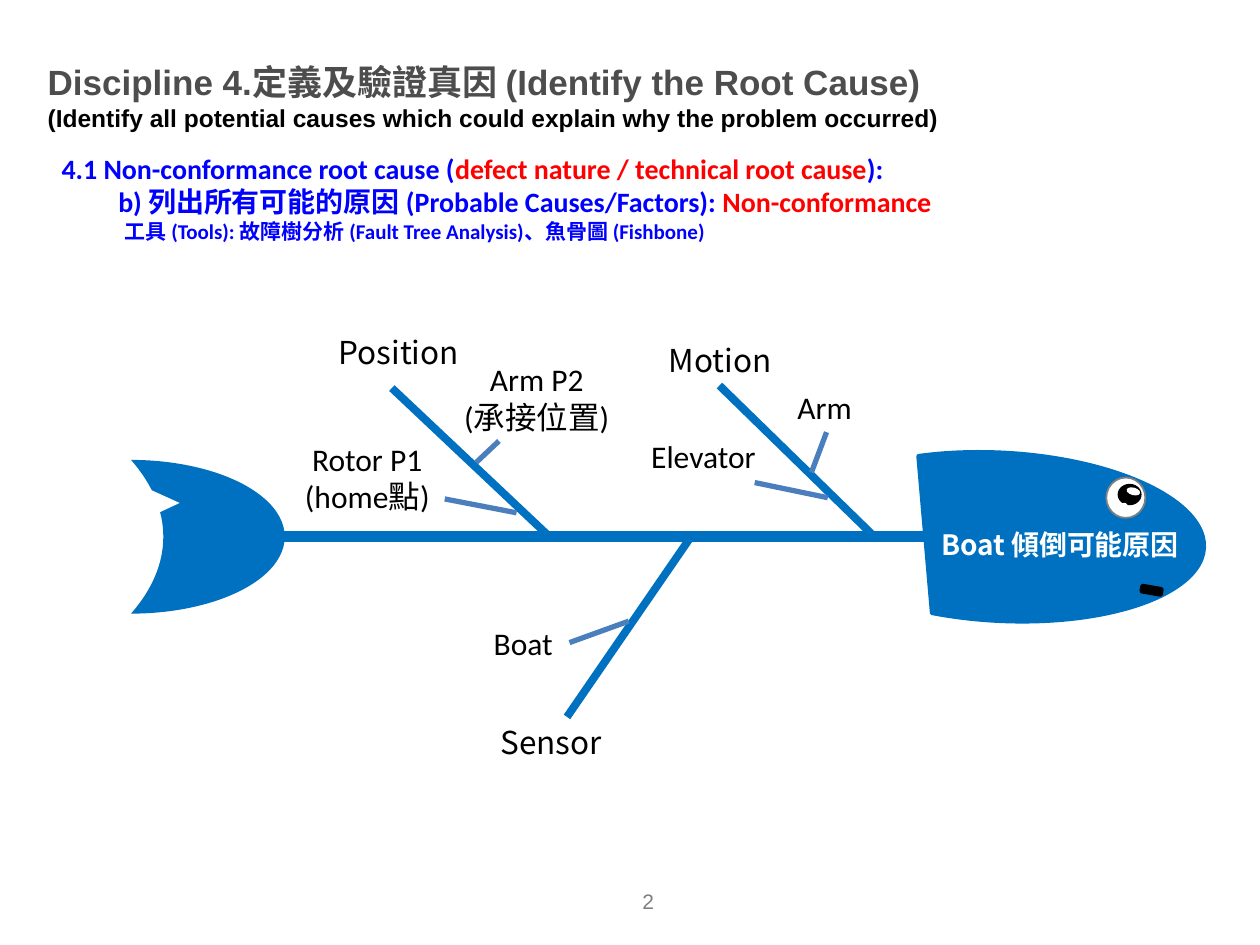
import pptx
import pptx.dml.color
import pptx.enum.shapes
import pptx.enum.text
import pptx.oxml.ns
import pptx.util
import lxml.etree

Inches = pptx.util.Inches
RGBColor = pptx.dml.color.RGBColor
Shape = pptx.enum.shapes.MSO_SHAPE
Align = pptx.enum.text.PP_ALIGN
Anchor = pptx.enum.text.MSO_ANCHOR

BLACK = RGBColor(0x00, 0x00, 0x00)
WHITE = RGBColor(0xFF, 0xFF, 0xFF)
TITLE_GRAY = RGBColor(0x4D, 0x4D, 0x4D)
PAGE_GRAY = RGBColor(0x7F, 0x7F, 0x7F)
EYE_GRAY = RGBColor(0x80, 0x80, 0x80)
BLUE = RGBColor(0x00, 0x00, 0xFF)
RED = RGBColor(0xFF, 0x00, 0x00)
FISH_BLUE = RGBColor(0x00, 0x70, 0xC0)
TWIG_BLUE = RGBColor(0x4B, 0x7E, 0xBC)
CJK_FONT = "Noto Sans CJK SC"


def write_paragraph(paragraph, runs, size=18, font="Calibri", bold=False,
                    align=Align.LEFT, indent=0):
    paragraph.alignment = align
    if indent:
        properties = paragraph._p.get_or_add_pPr()
        properties.set("marL", str(Inches(indent)))
        properties.set("indent", "0")
    for text, color in runs:
        run = paragraph.add_run()
        run.text = text
        run.font.size = pptx.util.Pt(size)
        run.font.name = font
        run.font.bold = bold
        run.font.color.rgb = color


def add_text_box(slide, box, anchor=Anchor.TOP, grow=True):
    frame = slide.shapes.add_textbox(*map(Inches, box)).text_frame
    frame.word_wrap = True
    frame.vertical_anchor = anchor
    if grow:
        frame.auto_size = pptx.enum.text.MSO_AUTO_SIZE.SHAPE_TO_FIT_TEXT
    return frame


def add_label(slide, box, lines, color=BLACK, **text_format):
    frame = add_text_box(slide, box)
    for index, line in enumerate(lines):
        paragraph = frame.add_paragraph() if index else frame.paragraphs[0]
        write_paragraph(paragraph, [(line, color)], **text_format)


def add_bone(slide, start, end, color, width):
    bone = slide.shapes.add_connector(
        pptx.enum.shapes.MSO_CONNECTOR.STRAIGHT,
        *map(Inches, start + end))
    bone.line.color.rgb = color
    bone.line.width = pptx.util.Pt(width)
    lxml.etree.SubElement(bone._element.spPr, pptx.oxml.ns.qn("a:effectLst"))


def add_part(slide, kind, box, fill, line=None, width=1, rotation=0,
             adjustments=(), flip=None):
    part = slide.shapes.add_shape(kind, *map(Inches, box))
    part.shadow.inherit = False
    part.rotation = rotation
    part.fill.solid()
    part.fill.fore_color.rgb = fill
    if line is None:
        part.line.fill.background()
    else:
        part.line.color.rgb = line
        part.line.width = pptx.util.Pt(width)
    for index, value in enumerate(adjustments):
        part.adjustments[index] = value
    if flip:
        part._element.spPr.xfrm.set(flip, "1")


def add_headings(slide):
    title = add_text_box(slide, (0.28, 0.43, 9.13, 0.67), Anchor.MIDDLE)
    write_paragraph(
        title.paragraphs[0],
        [("Discipline 4.定義及驗證真因 (Identify the Root Cause)", TITLE_GRAY)],
        size=20, font="Arial", bold=True)
    write_paragraph(
        title.add_paragraph(),
        [("(Identify all potential causes which could explain why the problem occurred)",
          BLACK)],
        size=14, font="Arial", bold=True)

    section = add_text_box(slide, (0.39, 1.15, 9.01, 0.84))
    write_paragraph(
        section.paragraphs[0],
        [("4.1 Non-conformance root cause (", BLUE),
         ("defect nature / technical root cause", RED), ("):", BLUE)],
        size=16, bold=True)
    write_paragraph(
        section.add_paragraph(),
        [("b) 列出所有可能的原因 (Probable Causes/Factors): ", BLUE),
         ("Non-conformance", RED)],
        size=16, bold=True, indent=0.45)
    write_paragraph(
        section.add_paragraph(),
        [("工具 (Tools): 故障樹分析 (Fault Tree Analysis)、魚骨圖 (Fishbone)", BLUE)],
        size=12, bold=True, indent=0.5)


def add_skeleton(slide):
    add_bone(slide, (2.24, 4.26), (7.72, 4.26), FISH_BLUE, 6)
    for start, end in (((3.11, 3.08), (4.34, 4.24)),
                       ((5.71, 3.06), (6.92, 4.24)),
                       ((4.5, 5.69), (5.47, 4.28))):
        add_bone(slide, start, end, FISH_BLUE, 4.5)
    for start, end in (((6.57, 3.95), (5.99, 3.83)),
                       ((6.44, 3.75), (6.56, 3.43)),
                       ((4.52, 5.1), (4.99, 4.93)),
                       ((3.78, 3.67), (3.96, 3.5)),
                       ((4.1, 4.07), (3.53, 3.96))):
        add_bone(slide, start, end, TWIG_BLUE, 3)


def add_fish(slide):
    add_part(slide, Shape.CHORD, (6.32, 3.59, 3.24, 1.34), FISH_BLUE,
             line=FISH_BLUE, width=2, rotation=183.1,
             adjustments=(24.84, 185.32))
    add_part(slide, Shape.FLOWCHART_CONNECTOR, (8.78, 3.79, 0.31, 0.32),
             WHITE, line=EYE_GRAY)
    add_part(slide, Shape.FLOWCHART_CONNECTOR, (8.87, 3.84, 0.19, 0.17), BLACK)
    add_part(slide, Shape.FLOWCHART_CONNECTOR, (8.94, 3.87, 0.11, 0.06),
             WHITE, rotation=15)
    add_part(slide, Shape.FLOWCHART_CONNECTOR, (8.89, 3.99, 0.06, 0.05),
             WHITE, flip="flipV")
    add_part(slide, Shape.MOON, (1.04, 3.65, 1.22, 1.22), FISH_BLUE,
             adjustments=(0.79,), flip="flipH")
    add_part(slide, Shape.RIGHT_TRIANGLE, (1.21, 3.83, 0.18, 0.21),
             WHITE, rotation=335)
    add_part(slide, Shape.FLOWCHART_ALTERNATE_PROCESS,
             (9.06, 4.66, 0.16, 0.05), BLACK, line=BLACK, width=2, rotation=10)


def add_causes(slide):
    for box, category in (((4.99, 2.66, 1.45, 0.4), "Motion"),
                          ((3.51, 5.69, 1.73, 0.4), "Sensor"),
                          ((2.16, 2.59, 2.01, 0.4), "Position")):
        add_label(slide, box, [category], font=CJK_FONT, align=Align.CENTER)
    for box, cause in (((5.07, 3.42, 1.1, 0.4), "Elevator"),
                       ((6.23, 3.03, 0.65, 0.4), "Arm"),
                       ((3.82, 4.9, 0.7, 0.4), "Boat")):
        add_label(slide, box, [cause])
    add_label(slide, (3.53, 2.81, 1.46, 0.71), ["Arm P2", "(承接位置)"],
              align=Align.CENTER)
    add_label(slide, (2.01, 3.44, 1.81, 0.71), ["Rotor P1", "(home點)"],
              align=Align.CENTER)
    add_label(slide, (7.37, 4.14, 2.12, 0.37), ["Boat 傾倒可能原因"],
              color=WHITE, size=16, font=CJK_FONT, bold=True)


def add_page_number(slide):
    frame = add_text_box(slide, (3.98, 6.95, 2.33, 0.4), Anchor.MIDDLE, grow=False)
    write_paragraph(frame.paragraphs[0], [("2", PAGE_GRAY)],
                    size=12, font="Arial", align=Align.CENTER)


def main():
    presentation = pptx.Presentation()
    presentation.slide_width = Inches(10)
    presentation.slide_height = Inches(7.5)
    slide = presentation.slides.add_slide(presentation.slide_layouts[6])
    add_headings(slide)
    add_skeleton(slide)
    add_fish(slide)
    add_causes(slide)
    add_page_number(slide)
    presentation.save("out.pptx")


if __name__ == "__main__":
    main()
